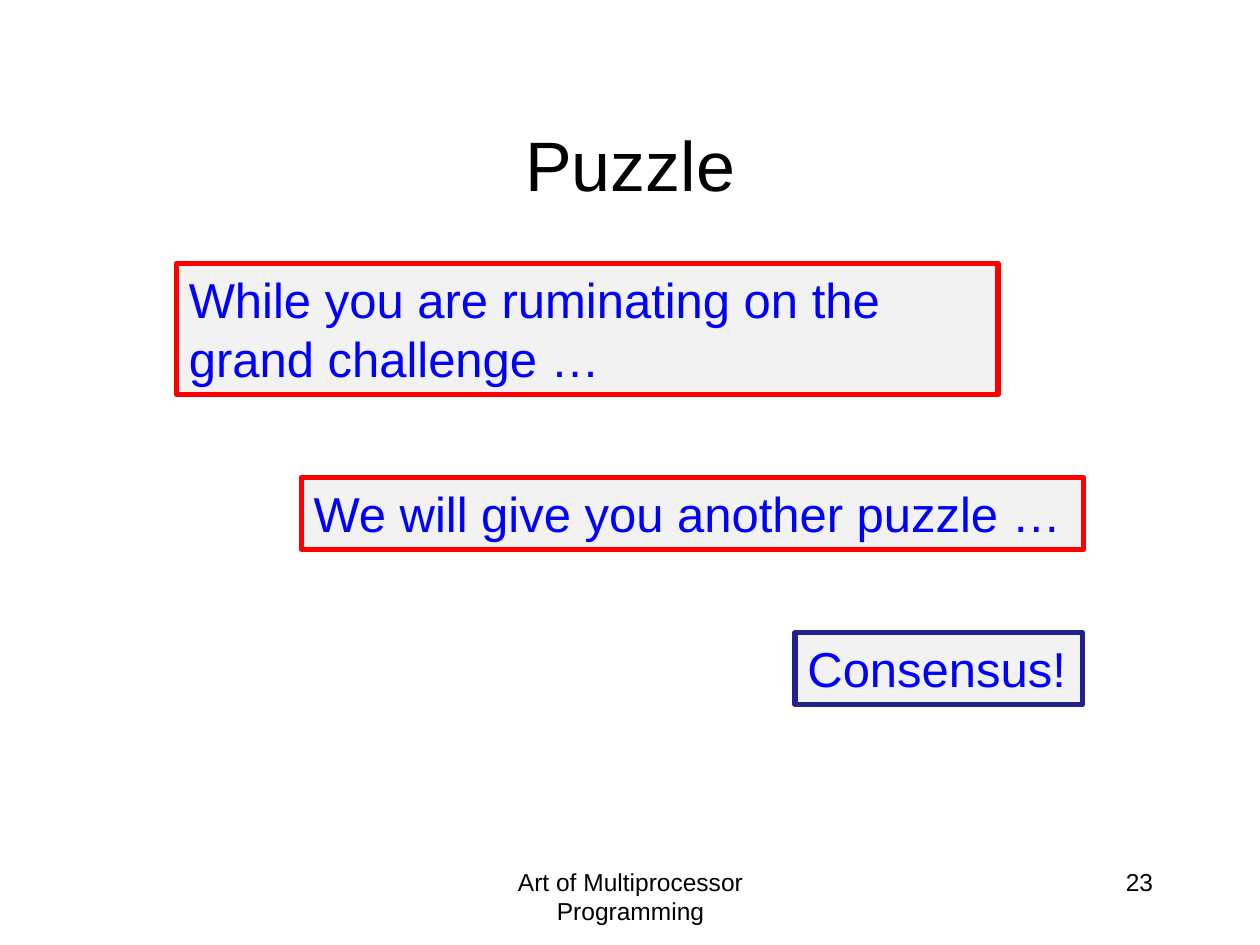
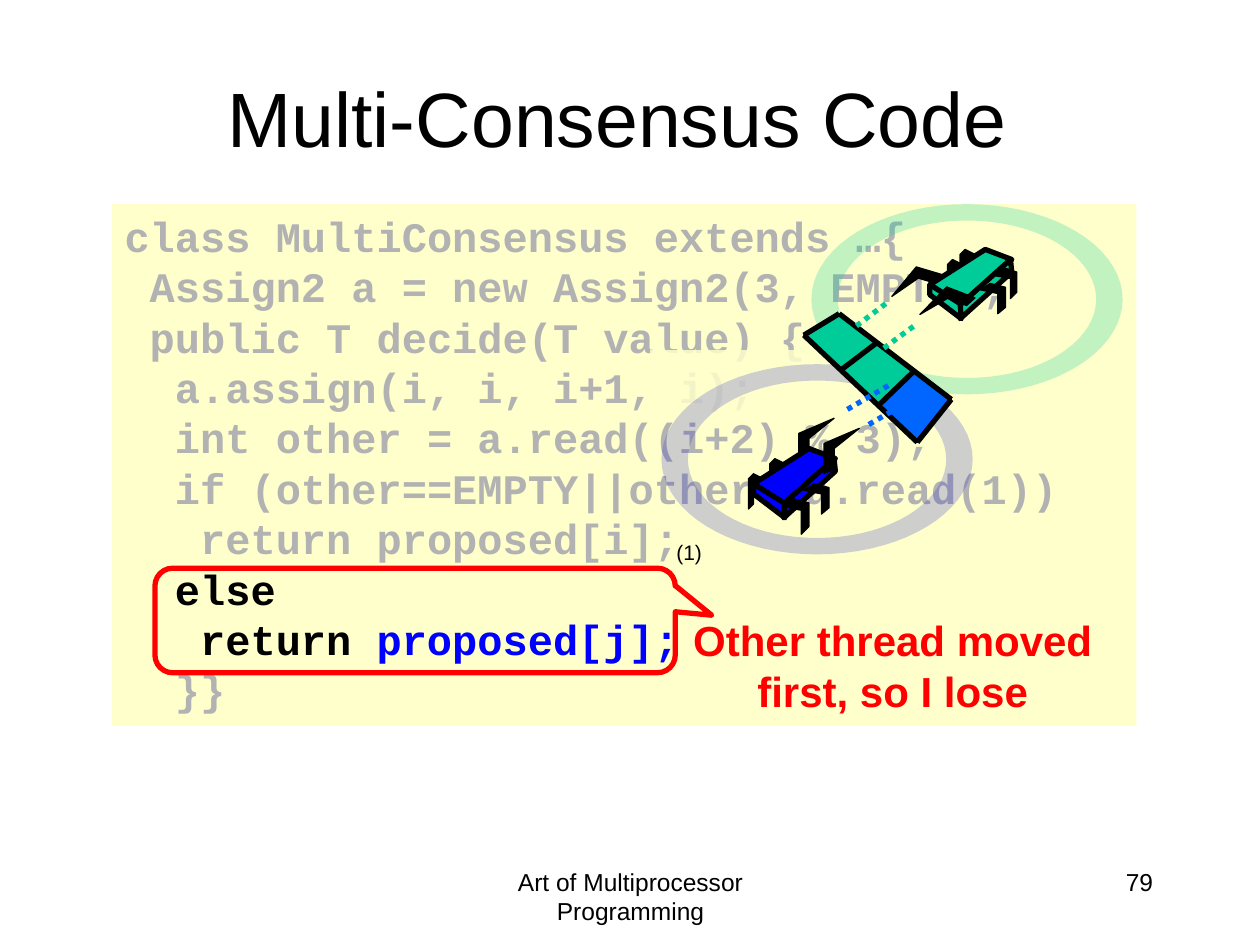
from math import cos, pi, sin

from lxml.etree import SubElement
from pptx import Presentation
from pptx.dml.color import RGBColor
from pptx.enum.dml import MSO_LINE
from pptx.enum.shapes import MSO_CONNECTOR, MSO_SHAPE
from pptx.enum.text import MSO_ANCHOR, PP_ALIGN
from pptx.oxml.ns import qn
from pptx.util import Inches, Pt

COLOURS = {
    "black": "000000",
    "red": "FF0000",
    "blue": "0000FF",
    "navy": "22228B",
    "panel": "F2F2F2",
    "cream": "FFFFCC",
    "faded": "B2B2B2",
    "tray": "DDDDDD",
    "green": "00CC99",
    "azure": "0066FF",
    "violet": "3333CC",
}
FOOTER = "Art of Multiprocessor Programming"

# Bug parts, each relative to its own top left corner
ARM = [(0, 0.36), (0.08, 0.32), (0.08, 0.16), (0.28, 0), (0, 0.12)]
SIDE_LEG = [(0.12, 0.04), (0.04, 0), (0, 0.04), (0, 0.28), (0.04, 0.24),
            (0.04, 0.08), (0.12, 0.12)]
LONG_LEG = [(0.08, 0), (0, 0.06), (0.14, 0.09), (0.14, 0.28), (0.2, 0.22), (0.2, 0.03)]
SHORT_LEG = [(0.08, 0), (0, 0.05), (0.14, 0.08), (0.14, 0.24), (0.2, 0.19), (0.2, 0.03)]
NARROW_LEG = [(0.08, 0), (0, 0.06), (0.12, 0.08), (0.12, 0.24), (0.17, 0.19), (0.17, 0.03)]
BODY = [
    [(0.44, 0), (0, 0.28), (0.24, 0.44), (0.65, 0.08)],
    [(0.64, 0.08), (0.24, 0.44), (0.24, 0.55), (0.65, 0.18)],
    [(0, 0.28), (0, 0.36), (0.25, 0.55), (0.24, 0.43)],
]

CODE = [
    "class MultiConsensus extends …{",
    " Assign2 a = new Assign2(3, EMPTY);",
    " public T decide(T value) {",
    "  a.assign(i, i, i+1, i);",
    "  int other = a.read((i+2) % 3);",
    "  if (other==EMPTY||other==a.read(1))",
    "   return proposed[i];",
    [("  else", "black")],
    [("   return", "black"), (" proposed[j];", "blue")],
    "  }}",
]


def rgb(name):
    return RGBColor.from_string(COLOURS[name])


def paint(shape, fill=None, opacity=None, line=None, width=3.0):
    shape.shadow.inherit = False
    if fill:
        shape.fill.solid()
        shape.fill.fore_color.rgb = rgb(fill)
        if opacity is not None:
            colour = shape.fill._xPr.find(".//" + qn("a:srgbClr"))
            SubElement(colour, qn("a:alpha"), val=str(opacity * 1000))
    else:
        shape.fill.background()
    if line:
        shape.line.color.rgb = rgb(line)
        shape.line.width = Pt(width)
    else:
        shape.line.fill.background()


def add_box(page, box, kind=MSO_SHAPE.RECTANGLE, **look):
    shape = page.shapes.add_shape(kind, *map(Inches, box))
    paint(shape, **look)
    return shape


def write(shape, lines, size, colour="black", font="Arial", bold=False,
          align=PP_ALIGN.LEFT, anchor=MSO_ANCHOR.TOP, wrap=True):
    """Fill a shape with lines, each a string or a list of (text, colour) spans."""
    frame = shape.text_frame
    frame.word_wrap = wrap
    frame.vertical_anchor = anchor
    for index, line in enumerate(lines):
        para = frame.add_paragraph() if index else frame.paragraphs[0]
        para.alignment = align
        for text, shade in [(line, colour)] if isinstance(line, str) else line:
            span = para.add_run()
            span.text = text
            span.font.name = font
            span.font.size = Pt(size)
            span.font.bold = bold
            span.font.color.rgb = rgb(shade)


def add_text(page, box, text, size, **style):
    write(page.shapes.add_textbox(*map(Inches, box)), [text], size, **style)


def add_outline(page, contours, rotation=0, **look):
    """Draw closed contours, given in inches, as one shape."""
    points = [[(Inches(x), Inches(y)) for x, y in contour] for contour in contours]
    builder = page.shapes.build_freeform(*points[0][0])
    for index, contour in enumerate(points):
        if index:
            builder.move_to(*contour[0])
        builder.add_line_segments(contour[1:], close=True)
    shape = builder.convert_to_shape()
    shape.rotation = rotation
    paint(shape, **look)


def add_line(page, start, end, colour="black", dotted=False):
    line = page.shapes.add_connector(MSO_CONNECTOR.STRAIGHT, *map(Inches, start + end))
    line.line.color.rgb = rgb(colour)
    line.line.width = Pt(3)
    if dotted:
        line.line.dash_style = MSO_LINE.ROUND_DOT
    SubElement(line._element.spPr, qn("a:effectLst"))


def add_page(deck, title, title_box, title_size, number):
    page = deck.slides.add_slide(deck.slide_layouts[6])
    add_text(page, (3.42, 6.83, 3.17, 0.5), FOOTER, 14, align=PP_ALIGN.CENTER)
    add_text(page, (7.17, 6.83, 2.08, 0.5), str(number), 14, align=PP_ALIGN.RIGHT)
    add_text(page, title_box, title, title_size, align=PP_ALIGN.CENTER,
             anchor=MSO_ANCHOR.MIDDLE)
    return page


def shifted(points, left, top):
    return [(left + x, top + y) for x, y in points]


def add_ring(page, left, top, colour):
    width, height, steps = 2.47, 1.51, 72

    def ellipse(inset_x, inset_y, direction):
        angles = [direction * 2 * pi * step / steps for step in range(steps)]
        return [(left + width / 2 + (width / 2 - inset_x) * cos(angle),
                 top + height / 2 + (height / 2 - inset_y) * sin(angle))
                for angle in angles]

    add_outline(page, [ellipse(0, 0, 1), ellipse(0.21, 0.13, -1)],
                fill=colour, opacity=24)


def add_bug(page, left, top, colour, arms, side_legs, right_legs):
    """Draw a bug; arms are (x, y, turn), and a turned arm is mirrored too."""
    def limb(points, x, y, rotation=0):
        add_outline(page, [shifted(points, left + x, top + y)], rotation,
                    fill="black", line="black", width=0.75)

    def arm(x, y, turn):
        limb([(0.28 - px, py) for px, py in ARM] if turn else ARM, x, y, turn)

    back_arm, front_arm = arms
    arm(*back_arm)
    for x, y in side_legs:
        limb(SIDE_LEG, x, y)
    for face in BODY:
        add_outline(page, [shifted(face, left, top)], fill=colour, line=colour_edge(colour))
    for points, x, y in right_legs:
        limb(points, x, y)
    arm(*front_arm)


def colour_edge(colour):
    """Faces of every fill colour share the black edge."""
    return "black"


def add_array(page, left, top):
    """Draw three slanted cells, framed and divided by heavy lines."""
    upper = shifted([(0.28, 0), (0.58, 0.23), (0.88, 0.45), (1.17, 0.68)], left, top)
    lower = shifted([(0, 0.17), (0.29, 0.45), (0.59, 0.73), (0.9, 1.02)], left, top)
    add_outline(page, [[upper[0], lower[0], lower[3], upper[3]]],
                fill="tray", line="black", width=0.75)
    for cell, colour in enumerate(["green", "green", "azure"]):
        add_outline(page, [[upper[cell], lower[cell], lower[cell + 1], upper[cell + 1]]],
                    fill=colour, line="black", width=0.75)
    for edge in (upper, lower):
        add_line(page, edge[0], edge[3])
    for ends in zip(lower, upper):
        add_line(page, *ends)


def add_bugs_at_array(page):
    add_ring(page, 5.25, 2.89, "violet")
    add_ring(page, 6.44, 1.62, "green")
    add_bug(page, 5.98, 3.56, "blue",
            arms=[(0.36, -0.24, 0), (0.56, -0.16, 0)],
            side_legs=[(-0.04, 0.2), (0.13, 0.08)],
            right_legs=[(LONG_LEG, 0.24, 0.4), (SHORT_LEG, 0.4, 0.28)])
    add_bug(page, 7.38, 1.98, "green",
            arms=[(-0.23, 0.11, 286.6), (0, 0.27, 291.1)],
            side_legs=[(0.24, 0), (0.14, 0.08)],
            right_legs=[(NARROW_LEG, 0.52, 0.15), (SHORT_LEG, 0.4, 0.27)])
    add_array(page, 6.38, 2.49)
    for start, end, colour in [
        ((7.03, 2.41), (6.7, 2.66), "green"),
        ((7.25, 2.59), (6.91, 2.84), "green"),
        ((7.05, 3.06), (6.69, 3.27), "azure"),
        ((7.22, 3.18), (6.86, 3.39), "azure"),
    ]:
        add_line(page, start, end, colour, dotted=True)


def build_puzzle(deck):
    page = add_page(deck, "Puzzle", (0.75, 0.67, 8.5, 1.25), 40, 23)
    for box, text, edge in [
        ((1.4, 2.09, 6.52, 1.04), "While you are ruminating on the grand challenge …", "red"),
        ((2.39, 3.79, 6.21, 0.57), "We will give you another puzzle …", "red"),
        ((6.31, 5.02, 2.28, 0.57), "Consensus!", "navy"),
    ]:
        write(add_box(page, box, fill="panel", line=edge), [text], 28, colour="blue")


def build_code(deck):
    page = add_page(deck, "Multi-Consensus Code", (0.65, 0.3, 8.5, 1.25), 44, 79)
    listing = add_box(page, (0.89, 1.62, 8.13, 4.14), fill="cream")
    write(listing, CODE, 24, colour="faded", font="Courier New", bold=True)
    add_box(page, (5.16, 2.78, 3.85, 0.57), fill="cream", opacity=85)
    add_bugs_at_array(page)
    add_text(page, (5.26, 4.23, 0.41, 0.3), "(1)", 12, align=PP_ALIGN.RIGHT, wrap=False)
    callout = add_box(page, (1.23, 4.51, 4.13, 0.83),
                      MSO_SHAPE.ROUNDED_RECTANGULAR_CALLOUT, line="red")
    for index, value in enumerate([0.57, -0.05, 0.17]):
        callout.adjustments[index] = value
    add_text(page, (5.18, 4.83, 3.81, 0.91), "Other thread moved first, so I lose", 24,
             colour="red", bold=True, align=PP_ALIGN.CENTER)


def main():
    deck = Presentation()
    deck.slide_width, deck.slide_height = Inches(10), Inches(7.5)
    build_puzzle(deck)
    build_code(deck)
    deck.save("out.pptx")


if __name__ == "__main__":
    main()
